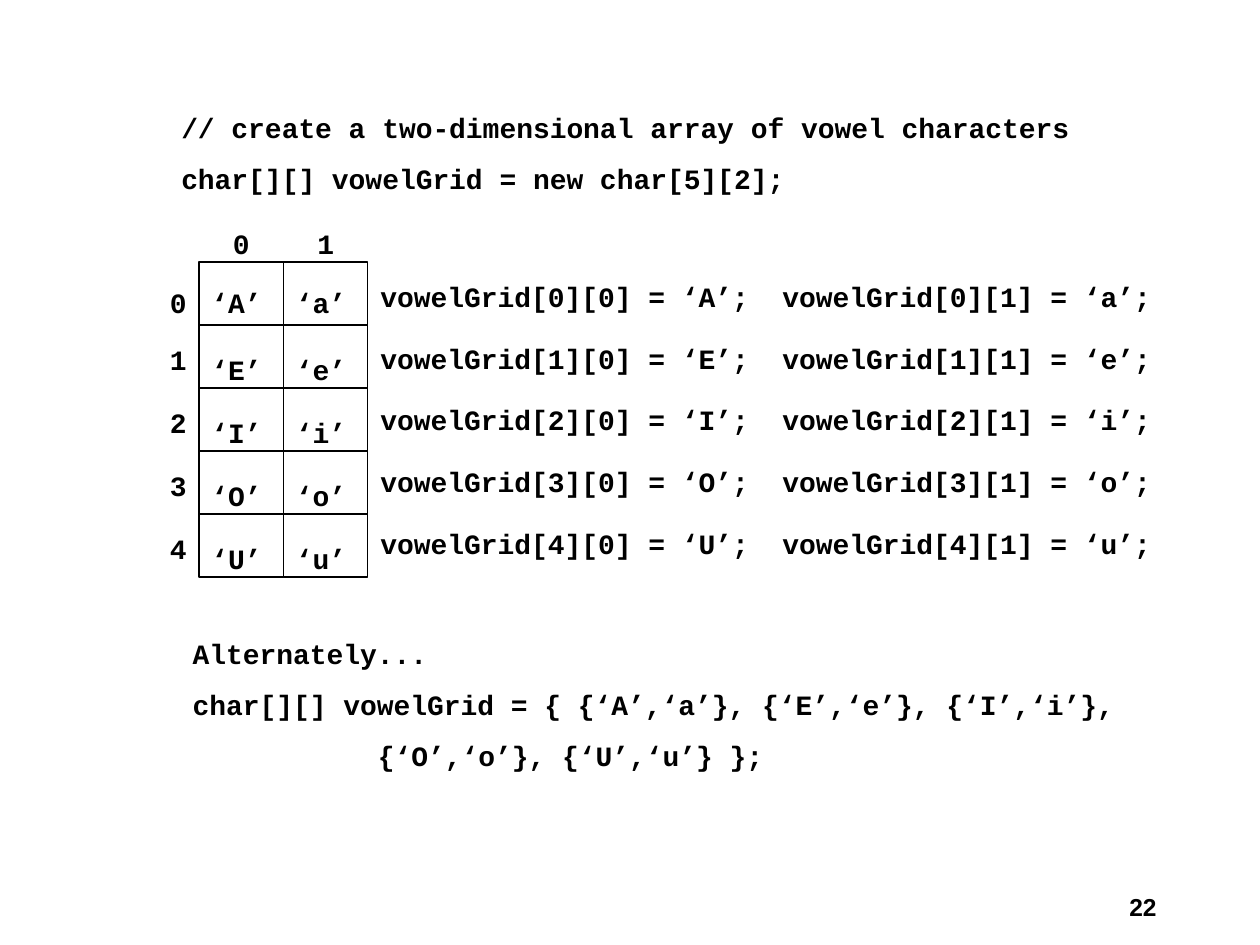
import pptx
import pptx.util
import pptx.dml.color
import pptx.enum.shapes
import pptx.enum.text
from dataclasses import dataclass

Inches = pptx.util.Inches
Pt = pptx.util.Pt


@dataclass
class Theme:
    ink = pptx.dml.color.RGBColor(0, 0, 0)
    code: str = "Courier New"
    sans: str = "Arial"
    size: int = 16
    small: int = 14


theme = Theme()


def write(para, text, face=theme.code, size=theme.size):
    run = para.add_run()
    run.text = text
    run.font.name = face
    run.font.size = Pt(size)
    run.font.bold = True
    run.font.color.rgb = theme.ink


def add_text(x, y, w, h, lines, after=0):
    box = slide.shapes.add_textbox(Inches(x), Inches(y), Inches(w), Inches(h))
    frame = box.text_frame
    frame.word_wrap = False
    for i, line in enumerate(lines):
        para = frame.add_paragraph() if i else frame.paragraphs[0]
        if i:
            para.space_before = Pt(10)
        para.space_after = Pt(after)
        write(para, line)
    return frame


deck = pptx.Presentation()
deck.slide_width = Inches(10)
deck.slide_height = Inches(7.5)
slide = deck.slides.add_slide(deck.slide_layouts[6])
vowels = "AEIOU"

# Declaration
add_text(1.34, 0.83, 7.25, 0.77, [
    "// create a two-dimensional array of vowel characters",
    "char[][] vowelGrid = new char[5][2];",
])

# Assignments, one line per row
add_text(2.92, 2.17, 6.32, 2.33, [
    f"vowelGrid[{i}][0] = ‘{v}’;  vowelGrid[{i}][1] = ‘{v.lower()}’;"
    for i, v in enumerate(vowels)
], after=6)

# Column numbers
for col in range(2):
    add_text(1.75 + 0.67 * col, 1.75, 0.33, 0.37, [str(col)])

# Row numbers and cells; the first row's number sits lower, its letters higher
for row, vowel in enumerate(vowels):
    drop = 0.05 if row == 0 else 0
    add_text(1.25, 2.17 + 0.5 * row + drop, 0.33, 0.37, [str(row)])
    for col, letter in enumerate((vowel, vowel.lower())):
        cell = slide.shapes.add_shape(
            pptx.enum.shapes.MSO_SHAPE.RECTANGLE,
            Inches(1.58 + 0.67 * col), Inches(2.08 + 0.5 * row),
            Inches(0.67), Inches(0.5))
        cell.shadow.inherit = False
        cell.fill.background()
        cell.line.color.rgb = theme.ink
        cell.line.width = Pt(0.75)
        frame = cell.text_frame
        frame.word_wrap = False
        frame.vertical_anchor = pptx.enum.text.MSO_ANCHOR.TOP
        frame.margin_top = Inches(0.19 if row == 0 else 0.22)
        frame.margin_bottom = 0
        para = frame.paragraphs[0]
        para.alignment = pptx.enum.text.PP_ALIGN.LEFT
        write(para, f"‘{letter}’")

# Initializer list, its second line indented by tab stops
frame = add_text(1.43, 5, 7.65, 1.59, [
    "Alternately...",
    "char[][] vowelGrid = { {‘A’,‘a’}, {‘E’,‘e’}, {‘I’,‘i’},",
    "\t\t\t{‘O’,‘o’}, {‘U’,‘u’} };",
])
props = frame.paragraphs[2]._p.get_or_add_pPr()
tabs = props.makeelement(pptx.oxml.ns.qn("a:tabLst"), {})
props.append(tabs)
for i in range(1, 4):
    stop = tabs.makeelement(pptx.oxml.ns.qn("a:tab"),
                            {"pos": str(Inches(0.49 * i)), "algn": "l"})
    tabs.append(stop)

# Slide number
box = slide.shapes.add_textbox(Inches(8.75), Inches(7.03), Inches(0.58), Inches(0.33))
box.text_frame.margin_right = Inches(0.15)
para = box.text_frame.paragraphs[0]
para.alignment = pptx.enum.text.PP_ALIGN.RIGHT
write(para, "22", theme.sans, theme.small)

deck.save("out.pptx")
